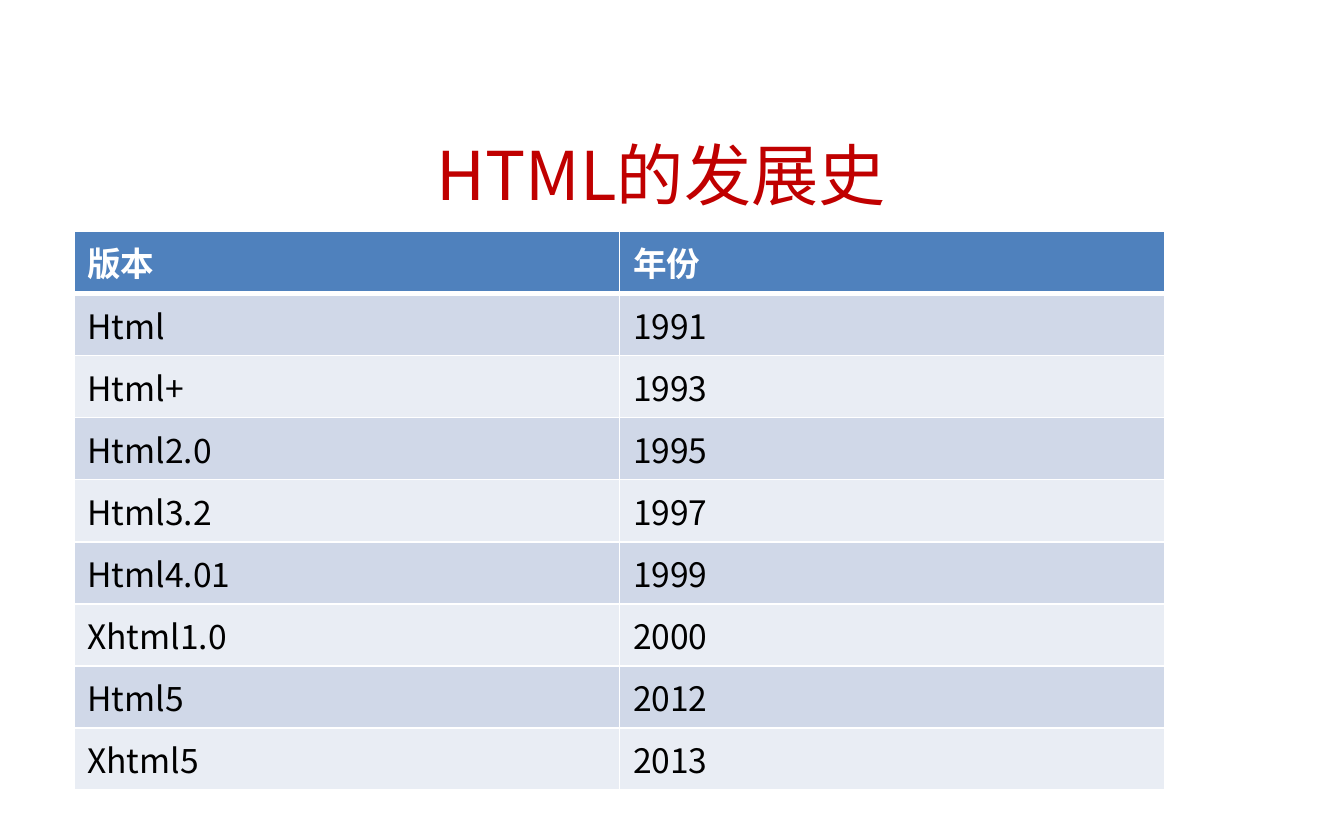
from lxml import etree
from pptx import Presentation, util as u
from pptx.dml.color import RGBColor
from pptx.enum import text
from pptx.oxml import ns

FONT = "Noto Sans CJK SC"
HEADER_FILL = "4F81BD"
BAND_FILLS = ["E9EDF4", "D0D8E8"]
ROWS = [
    ("版本", "年份"),
    ("Html", "1991"),
    ("Html+", "1993"),
    ("Html2.0", "1995"),
    ("Html3.2", "1997"),
    ("Html4.01", "1999"),
    ("Xhtml1.0", "2000"),
    ("Html5", "2012"),
    ("Xhtml5", "2013"),
]


def write(para, words, color, **formats):
    """Add one run, with the font set for Latin and Chinese alike."""
    span = para.add_run()
    span.text = words
    span.font.color.rgb = RGBColor.from_string(color)
    for name, value in {"name": FONT, **formats}.items():
        setattr(span.font, name, value)
    latin = span.font._element.find(ns.qn("a:latin"))
    east_asian = etree.Element(ns.qn("a:ea"), typeface=FONT)
    latin.addnext(east_asian)


def add_borders(cell, widths):
    """Draw white borders; widths maps L, R, T and B to points."""
    properties = cell._tc.get_or_add_tcPr()
    for index, (side, width) in enumerate(widths.items()):
        line = etree.Element(ns.qn(f"a:ln{side}"), w=str(u.Pt(width)))
        fill = etree.SubElement(line, ns.qn("a:solidFill"))
        etree.SubElement(fill, ns.qn("a:srgbClr"), val="FFFFFF")
        properties.insert(index, line)


deck = Presentation()
deck.slide_width, deck.slide_height = u.Inches(10), u.Inches(6.25)
page = deck.slides.add_slide(deck.slide_layouts[6])

# Title
title = page.shapes.add_textbox(
    u.Inches(0.67), u.Inches(0.77), u.Inches(8.5), u.Inches(1.04))
title.text_frame.word_wrap = True
title.text_frame.vertical_anchor = text.MSO_ANCHOR.MIDDLE
title_para = title.text_frame.paragraphs[0]
title_para.alignment = text.PP_ALIGN.CENTER
write(title_para, "HTML的发展史", "C00000", size=u.Pt(36))

# Table of versions and years
table = page.shapes.add_table(
    len(ROWS), 2, u.Inches(0.55), u.Inches(1.72),
    u.Inches(8.12), u.Inches(4.16)).table
for row_index, row in enumerate(ROWS):
    is_header = row_index == 0
    fill = HEADER_FILL if is_header else BAND_FILLS[row_index % 2]
    borders = {"L": 1, "R": 1,
               "T": 3 if row_index == 1 else 1,
               "B": 3 if is_header else 1}
    for column_index, words in enumerate(row):
        cell = table.cell(row_index, column_index)
        cell.fill.solid()
        cell.fill.fore_color.rgb = RGBColor.from_string(fill)
        add_borders(cell, borders)
        write(cell.text_frame.paragraphs[0], words,
              "FFFFFF" if is_header else "000000",
              size=u.Pt(18), bold=is_header)

deck.save("out.pptx")
